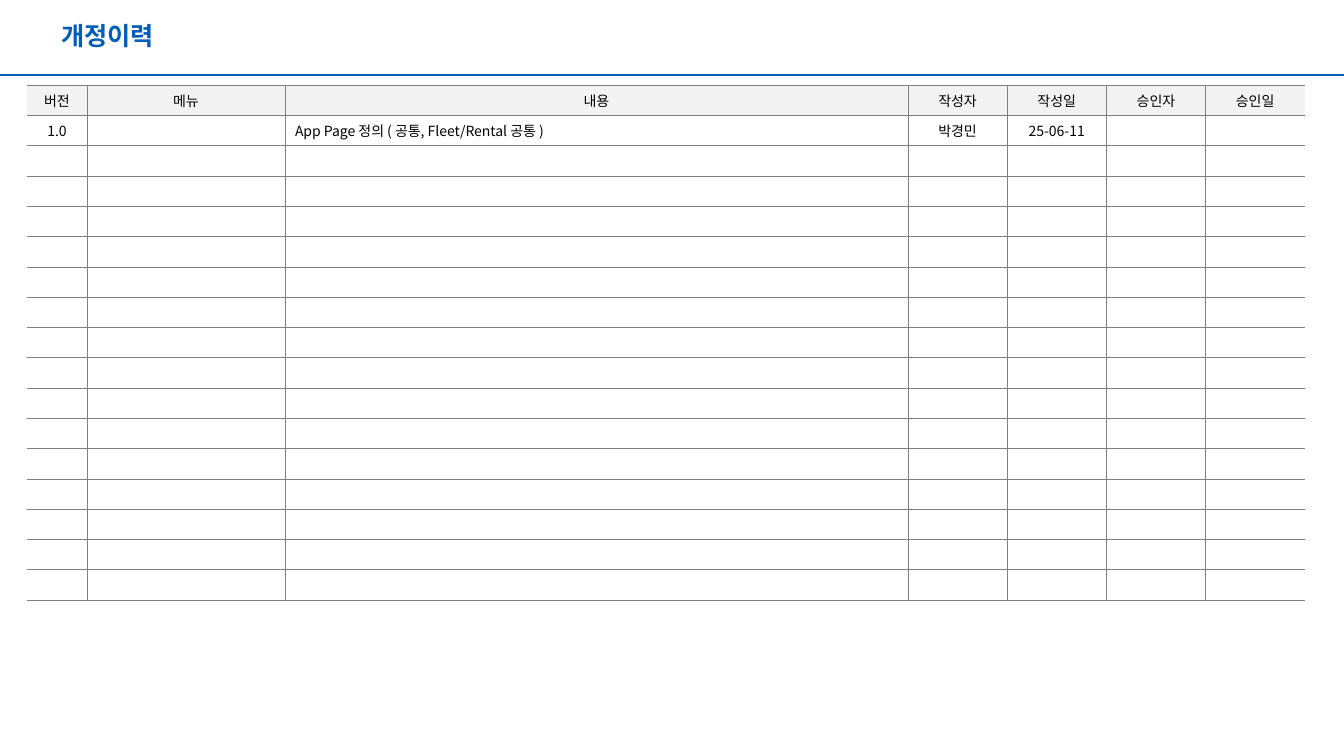
from dataclasses import dataclass

from lxml.etree import SubElement
from pptx import Presentation
from pptx.dml.color import RGBColor
from pptx.enum.shapes import MSO_CONNECTOR
from pptx.enum.text import MSO_ANCHOR, PP_ALIGN
from pptx.oxml import parse_xml
from pptx.oxml.ns import nsdecls, qn
from pptx.util import Inches, Pt

EMU_PER_PX = 914400 / 100.8


@dataclass(frozen=True)
class Theme:
    font: str = "Noto Sans CJK KR"
    accent: str = "005EB8"
    ink: str = "000000"
    grid: str = "808080"
    header_fill: str = "F2F2F2"
    body_fill: str = "FFFFFF"
    title_size: int = 18
    cell_size: int = 10
    rule_width: float = 1.5
    grid_width: float = 0.25


THEME = Theme()
ROW_COUNT = 17
FIXED_WIDTHS = [60, 198, 623]
HEADINGS = ["버전", "메뉴", "내용", "작성자", "작성일", "승인자", "승인일"]
REVISIONS = [
    ["1.0", "", "App Page 정의 ( 공통, Fleet/Rental 공통 )", "박경민", "25-06-11", "", ""],
]
CONTENT_COLUMN = HEADINGS.index("내용")


def px(length):
    return round(length * EMU_PER_PX)


def apply(target, values):
    for attribute, value in values.items():
        setattr(target, attribute, value)


def write(paragraph, wording, size, color, bold=False):
    run = paragraph.add_run()
    run.text = wording
    apply(run.font, {"name": THEME.font, "size": Pt(size), "bold": bold, "italic": False})
    run.font.color.rgb = RGBColor.from_string(color)
    SubElement(run.font._element, qn("a:ea"), typeface=THEME.font)


def add_heading(slide, left, top, width, height, wording):
    heading = slide.shapes.title
    apply(heading, {"left": px(left), "top": px(top), "width": px(width), "height": px(height)})
    apply(heading.text_frame, {
        "vertical_anchor": MSO_ANCHOR.MIDDLE, "word_wrap": True,
        "margin_left": px(8), "margin_right": px(8), "margin_top": px(4), "margin_bottom": px(4),
    })
    paragraph = heading.text_frame.paragraphs[0]
    apply(paragraph, {"alignment": PP_ALIGN.LEFT, "line_spacing": 0.9})
    write(paragraph, wording, THEME.title_size, THEME.accent, bold=True)


def add_header_rule(slide, left, top, width):
    rule = slide.shapes.add_connector(
        MSO_CONNECTOR.STRAIGHT, px(left), px(top), px(left + width), px(top))
    rule.line.color.rgb = RGBColor.from_string(THEME.accent)
    rule.line.width = Pt(THEME.rule_width)
    SubElement(rule._element.spPr, qn("a:effectLst"))


def set_borders(cell, open_sides):
    properties = cell._tc.get_or_add_tcPr()
    for position, side in enumerate("LRTB"):
        paint = "<a:noFill/>" if side in open_sides else (
            f'<a:solidFill><a:srgbClr val="{THEME.grid}"/></a:solidFill>')
        properties.insert(position, parse_xml(
            f'<a:ln{side} {nsdecls("a")} w="{Pt(THEME.grid_width)}">{paint}</a:ln{side}>'))


def fill_cell(cell, wording, fill, alignment, open_sides):
    cell.fill.solid()
    cell.fill.fore_color.rgb = RGBColor.from_string(fill)
    apply(cell, {"vertical_anchor": MSO_ANCHOR.MIDDLE,
                 "margin_top": Inches(0.04), "margin_bottom": Inches(0.04)})
    paragraph = cell.text_frame.paragraphs[0]
    paragraph.alignment = alignment
    if wording:
        write(paragraph, wording, THEME.cell_size, THEME.ink)
    else:
        # An empty cell needs its own type size to keep the row low
        SubElement(paragraph._p, qn("a:endParaRPr"), sz=str(THEME.cell_size * 100))
    set_borders(cell, open_sides)


def add_revision_table(slide, left, top, width, height):
    column_count = len(HEADINGS)
    history = slide.shapes.add_table(
        ROW_COUNT, column_count, px(left), px(top), px(width), px(height)).table
    apply(history, {"first_row": False, "horz_banding": False})

    # The sign-off columns share the width that remains
    sign_off_count = column_count - len(FIXED_WIDTHS)
    sign_off_width = (width - sum(FIXED_WIDTHS)) / sign_off_count
    for column, column_width in zip(history.columns, FIXED_WIDTHS + [sign_off_width] * sign_off_count):
        column.width = px(column_width)
    for row in history.rows:
        row.height = px(height / ROW_COUNT)

    blank_rows = [[""] * column_count] * (ROW_COUNT - 1 - len(REVISIONS))
    for r, entries in enumerate([HEADINGS] + REVISIONS + blank_rows):
        for c, wording in enumerate(entries):
            is_content = r > 0 and c == CONTENT_COLUMN
            fill_cell(
                history.cell(r, c), wording,
                THEME.body_fill if r else THEME.header_fill,
                PP_ALIGN.LEFT if is_content else PP_ALIGN.CENTER,
                {0: "L", column_count - 1: "R"}.get(c, ""))


def main():
    deck = Presentation()
    apply(deck, {"slide_width": px(1344), "slide_height": px(756)})
    slide = deck.slides.add_slide(deck.slide_layouts.get_by_name("Title Only"))

    # Header
    add_header_rule(slide, 0, 75, 1344)
    add_heading(slide, 53, 12, 1252, 50, "개정이력")

    # Revision history
    add_revision_table(slide, 27, 85, 1278, 515)
    deck.save("out.pptx")


if __name__ == "__main__":
    main()
